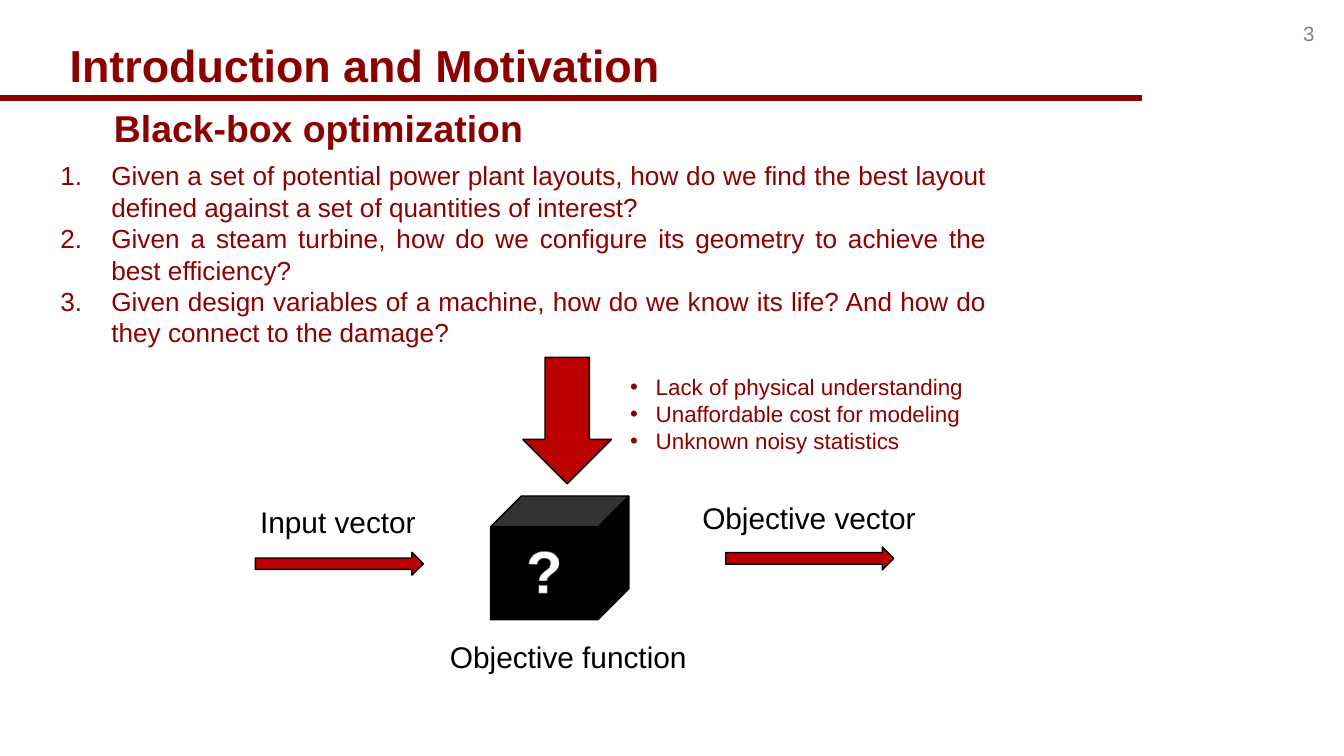
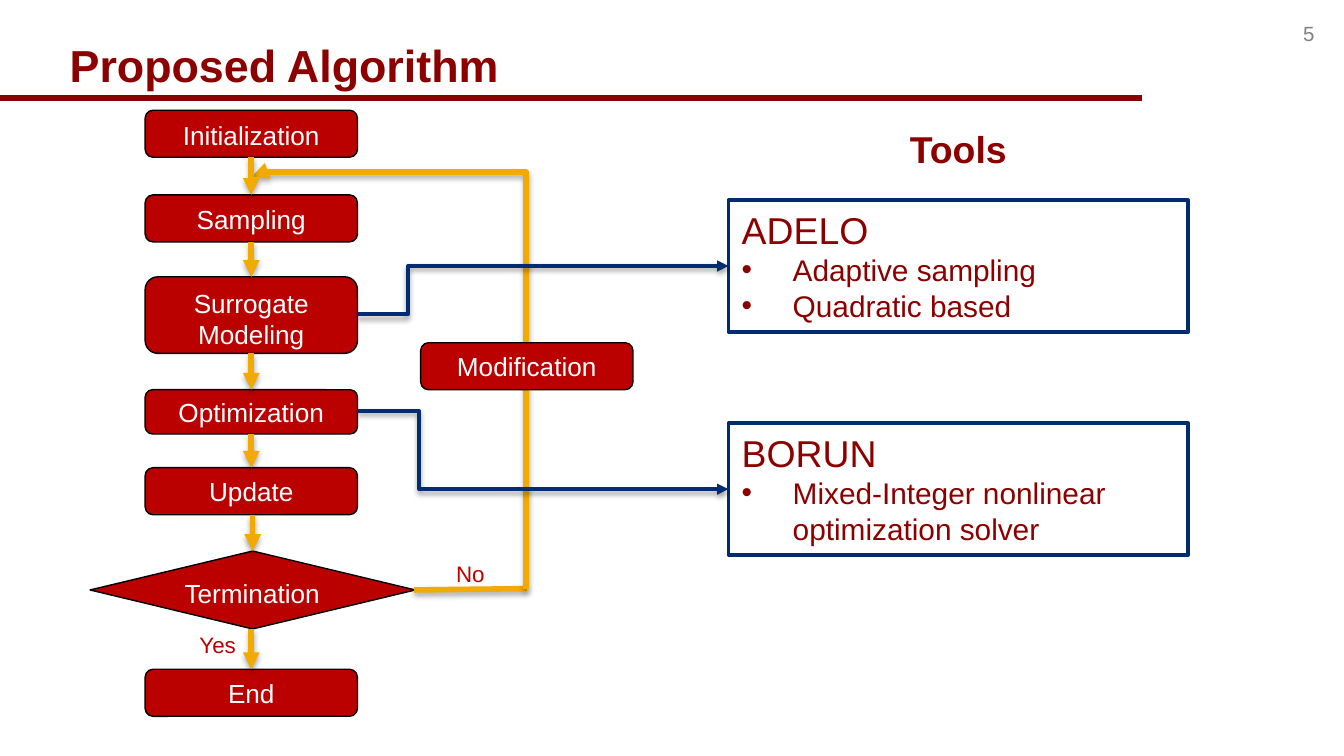
from dataclasses import dataclass
from itertools import pairwise
from typing import Any, Optional

from lxml.etree import SubElement
from pptx import Presentation
from pptx.dml.color import RGBColor
from pptx.enum.shapes import MSO_CONNECTOR, MSO_SHAPE
from pptx.enum.text import MSO_ANCHOR, MSO_AUTO_SIZE, PP_ALIGN
from pptx.oxml.ns import qn
from pptx.util import Emu, Pt

PX = 9144  # one hundredth of an inch
FONT_NAME = "Arial"
COLORS = {
    "maroon": "8C0000",
    "red": "BB0000",
    "gold": "F2A900",
    "navy": "002C71",
    "black": "000000",
    "white": "FFFFFF",
    "gray": "808080",
    "outline": "75787B",
}
STYLES: dict[str, dict[str, Any]] = {
    "title": {"size": 24, "bold": True, "color": "maroon"},
    "heading": {"size": 20, "bold": True, "color": "maroon"},
    "tool": {"size": 20, "color": "maroon"},
    "feature": {"size": 16, "color": "maroon"},
    "question": {"size": 14, "color": "maroon"},
    "reason": {"size": 12, "color": "maroon"},
    "label": {"size": 16, "color": "black"},
    "branch": {"size": 12, "color": "red"},
    "step": {"size": 14, "color": "white"},
    "mark": {"size": 32, "bold": True, "color": "white"},
    "number": {"size": 11, "color": "gray"},
}


@dataclass(frozen=True)
class Box:
    left: int
    top: int
    width: int
    height: int

    @property
    def center_x(self) -> int:
        return self.left + self.width // 2

    @property
    def center_y(self) -> int:
        return self.top + self.height // 2

    @property
    def right(self) -> int:
        return self.left + self.width

    @property
    def bottom(self) -> int:
        return self.top + self.height

    def emu(self) -> list[Emu]:
        return [px(v) for v in (self.left, self.top, self.width, self.height)]


@dataclass(frozen=True)
class Line:
    text: str
    style: str
    align: PP_ALIGN = PP_ALIGN.LEFT
    bullet: Optional[str] = None
    indent: int = 0


@dataclass(frozen=True)
class Step:
    text: str
    box: Box
    anchor: MSO_ANCHOR = MSO_ANCHOR.TOP
    kind: MSO_SHAPE = MSO_SHAPE.ROUNDED_RECTANGLE
    align: PP_ALIGN = PP_ALIGN.CENTER


@dataclass(frozen=True)
class Tool:
    name: str
    features: tuple[str, ...]
    box: Box
    source: str
    bend: int


STEPS = [
    Step("Initialization", Box(108, 82, 158, 35)),
    Step("Sampling", Box(108, 145, 158, 35)),
    Step("Surrogate Modeling", Box(108, 206, 158, 57)),
    Step("Optimization", Box(108, 290, 158, 33), MSO_ANCHOR.MIDDLE),
    Step("Update", Box(108, 348, 158, 35), MSO_ANCHOR.MIDDLE),
    Step("Termination", Box(67, 410, 242, 58),
         kind=MSO_SHAPE.FLOWCHART_DECISION, align=PP_ALIGN.LEFT),
    Step("End", Box(108, 498, 158, 35), MSO_ANCHOR.MIDDLE),
]
MODIFICATION = Step("Modification", Box(313, 255, 158, 35), MSO_ANCHOR.MIDDLE)
TOOLS = [
    Tool("ADELO", ("Adaptive sampling", "Quadratic based"),
         Box(542, 149, 342, 98), "Surrogate Modeling", 13700),
    Tool("BORUN", ("Mixed-Integer nonlinear optimization solver",),
         Box(542, 315, 342, 98), "Optimization", 16700),
]
QUESTIONS = (
    "Given a set of potential power plant layouts, how do we find the best "
    "layout defined against a set of quantities of interest?",
    "Given a steam turbine, how do we configure its geometry to achieve the "
    "best efficiency?",
    "Given design variables of a machine, how do we know its life? And how do "
    "they connect to the damage?",
)
REASONS = (
    "Lack of physical understanding",
    "Unaffordable cost for modeling",
    "Unknown noisy statistics",
)


def px(value: int) -> Emu:
    return Emu(value * PX)


def rgb(name: str) -> RGBColor:
    return RGBColor.from_string(COLORS[name])


def write_lines(shape, lines: list[Line],
                anchor: MSO_ANCHOR = MSO_ANCHOR.TOP) -> None:
    frame = shape.text_frame
    frame.word_wrap = True
    frame.vertical_anchor = anchor
    for index, line in enumerate(lines):
        paragraph = frame.add_paragraph() if index else frame.paragraphs[0]
        paragraph.alignment = line.align
        if line.bullet:
            properties = paragraph._p.get_or_add_pPr()
            properties.set("marL", str(px(line.indent)))
            properties.set("indent", str(-px(line.indent)))
            if line.bullet == "1.":
                SubElement(properties, qn("a:buAutoNum"), type="arabicPeriod")
            else:
                SubElement(properties, qn("a:buFont"), typeface=FONT_NAME)
                SubElement(properties, qn("a:buChar"), char=line.bullet)
        run = paragraph.add_run()
        run.text = line.text
        style = STYLES[line.style]
        font_values = {"name": FONT_NAME, "size": Pt(style["size"]),
                       "bold": style.get("bold", False)}
        for attribute, value in font_values.items():
            setattr(run.font, attribute, value)
        run.font.color.rgb = rgb(style["color"])


def add_text(slide, box: Box, lines: list[Line]) -> None:
    shape = slide.shapes.add_textbox(*box.emu())
    write_lines(shape, lines)
    shape.text_frame.auto_size = MSO_AUTO_SIZE.SHAPE_TO_FIT_TEXT


def add_shape(slide, kind: MSO_SHAPE, box: Box, fill: str = "red",
              line: str = "black", weight: float = 0.75):
    shape = slide.shapes.add_shape(kind, *box.emu())
    shape.shadow.inherit = False
    shape.fill.solid()
    shape.fill.fore_color.rgb = rgb(fill)
    shape.line.color.rgb = rgb(line)
    shape.line.width = Pt(weight)
    return shape


def add_step(slide, step: Step) -> None:
    shape = add_shape(slide, step.kind, step.box)
    write_lines(shape, [Line(step.text, "step", step.align)], step.anchor)


def add_line(slide, start: tuple[int, int], end: tuple[int, int], color: str,
             weight: float = 3, arrow: bool = True, shadow: int = 0,
             bend: Optional[int] = None):
    """Join two points; shadow is its opacity in percent, bend the elbow adjustment."""
    kind = MSO_CONNECTOR.STRAIGHT if bend is None else MSO_CONNECTOR.ELBOW
    connector = slide.shapes.add_connector(kind, *map(px, start + end))
    connector.line.color.rgb = rgb(color)
    connector.line.width = Pt(weight)
    properties = connector._element.spPr
    if bend is not None:
        adjustments = properties.find(qn("a:prstGeom")).get_or_add_avLst()
        SubElement(adjustments, qn("a:gd"), name="adj1", fmla=f"val {bend}")
    if arrow:
        SubElement(connector.line._get_or_add_ln(), qn("a:tailEnd"), type="triangle")
    effects = SubElement(properties, qn("a:effectLst"))
    if shadow:
        outer = SubElement(effects, qn("a:outerShdw"), blurRad=str(Pt(3.1)),
                           dist=str(Pt(1.8)), dir="5400000", rotWithShape="0")
        tint = SubElement(outer, qn("a:srgbClr"), val=COLORS["black"])
        SubElement(tint, qn("a:alpha"), val=str(shadow * 1000))
    return connector


def add_base_slide(presentation, title: str, number: int, title_width: int):
    slide = presentation.slides.add_slide(presentation.slide_layouts[6])
    add_text(slide, Box(933, 11, 55, 29),
             [Line(str(number), "number", PP_ALIGN.RIGHT)])
    add_text(slide, Box(42, 23, title_width, 50), [Line(title, "title")])
    add_line(slide, (0, 73), (850, 73), "maroon", arrow=False)
    return slide


def add_black_box(slide) -> None:
    cube = add_shape(slide, MSO_SHAPE.CUBE, Box(365, 369, 103, 92), "black")
    write_lines(cube, [Line("?", "mark", PP_ALIGN.CENTER)])
    run_properties = cube.text_frame.paragraphs[0].runs[0]._r.get_or_add_rPr()
    outline = SubElement(run_properties, qn("a:ln"), w=str(Pt(0.52)))
    SubElement(SubElement(outline, qn("a:solidFill")), qn("a:srgbClr"),
               val=COLORS["outline"])
    run_properties.insert(0, outline)


def build_motivation(presentation) -> None:
    slide = add_base_slide(presentation, "Introduction and Motivation", 3, 525)
    add_text(slide, Box(75, 73, 700, 44),
             [Line("Black-box optimization", "heading")])
    add_black_box(slide)
    for box in (Box(190, 411, 125, 17), Box(540, 407, 125, 17)):
        add_shape(slide, MSO_SHAPE.RIGHT_ARROW, box)
    for text, box, align in (
        ("Input vector", Box(173, 370, 157, 37), PP_ALIGN.CENTER),
        ("Objective vector", Box(497, 367, 210, 37), PP_ALIGN.CENTER),
        ("Objective function", Box(325, 470, 200, 37), PP_ALIGN.LEFT),
    ):
        add_text(slide, box, [Line(text, "label", align)])
    add_text(slide, Box(35, 114, 709, 151),
             [Line(text, "question", PP_ALIGN.JUSTIFY, "1.", 38) for text in QUESTIONS])
    down_arrow = add_shape(slide, MSO_SHAPE.RIGHT_ARROW, Box(375, 280, 94, 66))
    down_arrow.rotation = 90
    add_text(slide, Box(459, 273, 325, 71),
             [Line(text, "reason", bullet="•", indent=19) for text in REASONS])


def add_feedback_loop(slide) -> None:
    """Lead from Termination back up to the arrow above Sampling."""
    add_line(slide, (308, 439), (392, 438), "gold", arrow=False, shadow=35)
    loop = add_line(slide, (136, 387), (443, 183), "gold", shadow=35, bend=101100)
    loop._element.spPr.find(qn("a:xfrm")).set("rot", str(270 * 60000))


def build_algorithm(presentation) -> None:
    slide = add_base_slide(presentation, "Proposed Algorithm", 5, 425)
    for step in STEPS:
        add_step(slide, step)
    add_feedback_loop(slide)
    for upper, lower in pairwise(step.box for step in STEPS):
        add_line(slide, (lower.center_x, upper.bottom),
                 (lower.center_x, lower.top), "gold", shadow=35)
    add_text(slide, Box(542, 89, 342, 44), [Line("Tools", "heading", PP_ALIGN.CENTER)])
    boxes = {step.text: step.box for step in STEPS}
    for tool in TOOLS:
        shape = add_shape(slide, MSO_SHAPE.RECTANGLE, tool.box, "white", "navy", 2)
        write_lines(shape, [Line(tool.name, "tool")] + [
            Line(text, "feature", bullet="•", indent=38) for text in tool.features])
        shape.text_frame.auto_size = MSO_AUTO_SIZE.SHAPE_TO_FIT_TEXT
        source = boxes[tool.source]
        add_line(slide, (source.right, source.center_y),
                 (tool.box.left, tool.box.center_y), "navy", 2, shadow=38,
                 bend=tool.bend)
    for text, left, top in (("Yes", 137, 465), ("No", 325, 412)):
        add_text(slide, Box(left, top, 50, 30), [Line(text, "branch", PP_ALIGN.CENTER)])
    add_step(slide, MODIFICATION)


def main() -> None:
    presentation = Presentation()
    presentation.slide_width = px(1000)
    presentation.slide_height = Emu(presentation.slide_width * 9 // 16)
    build_motivation(presentation)
    build_algorithm(presentation)
    presentation.save("out.pptx")


if __name__ == "__main__":
    main()
